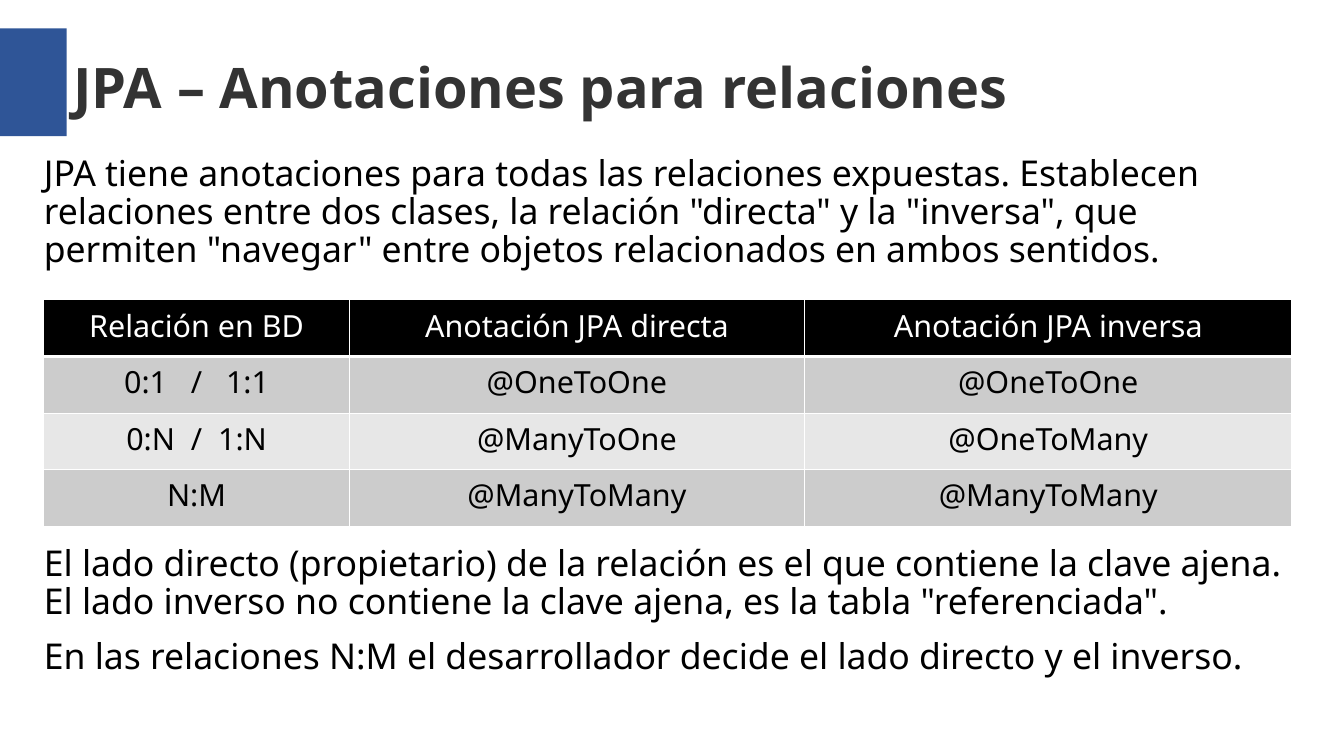
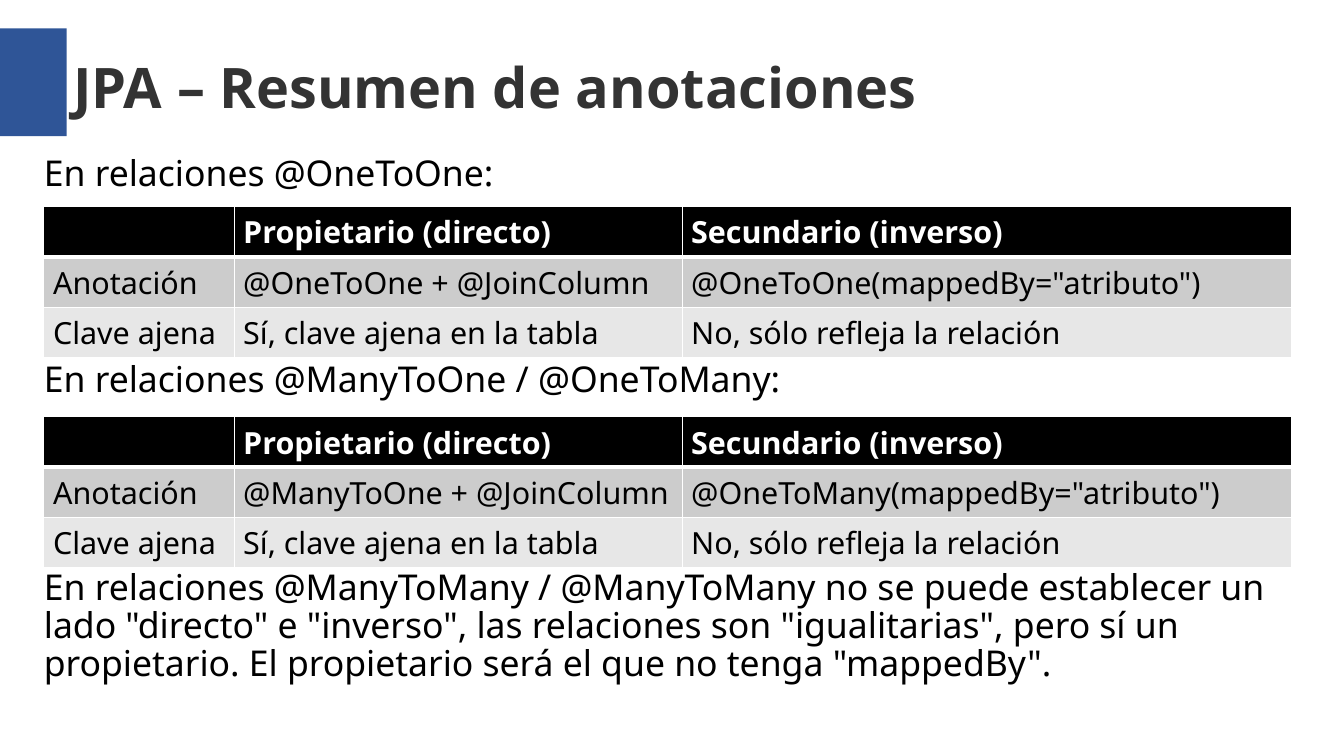
from lxml import etree
from pptx import Presentation
from pptx.dml.color import RGBColor
from pptx.enum.shapes import MSO_SHAPE
from pptx.enum.text import MSO_ANCHOR, PP_ALIGN
from pptx.oxml.ns import qn
from pptx.util import Pt

RECTANGLE = MSO_SHAPE.RECTANGLE
MIDDLE, TOP = MSO_ANCHOR.MIDDLE, MSO_ANCHOR.TOP
LEFT, CENTER = PP_ALIGN.LEFT, PP_ALIGN.CENTER

# Shared look; lengths in px, 100 px to the inch
PX = 9144
SLIDE_SIZE = (1470, 827)
FONT = "Noto Sans"
BLUE = RGBColor(0x2F, 0x55, 0x97)
TITLE_GREY = RGBColor(0x33, 0x33, 0x33)
BLACK = RGBColor(0x00, 0x00, 0x00)
WHITE = RGBColor(0xFF, 0xFF, 0xFF)
BANDS = (RGBColor(0xCC, 0xCC, 0xCC), RGBColor(0xE7, 0xE7, 0xE7))
ACCENT_BOX = (0, 31, 73, 118)
TITLE_BOX = (80, 17, 1334, 154)
BODY_LEFT, BODY_WIDTH = 48, 1365
LINE_HEIGHT = 47
TITLE_SIZE, BODY_SIZE, CELL_SIZE = 44, 28, 24


# Content
def summary_rows(direct, inverse):
    return [
        ("", "Propietario (directo)", "Secundario (inverso)"),
        ("Anotación", f"{direct} + @JoinColumn", f'{inverse}(mappedBy="atributo")'),
        ("Clave ajena", "Sí, clave ajena en la tabla", "No, sólo refleja la relación"),
    ]


RELATION_STYLE = {"columns": (334, 498, 533), "row": 62, "align": CENTER, "bold_header": False}
SUMMARY_STYLE = {"columns": (208, 490, 667), "row": 55, "align": LEFT, "bold_header": True}

SLIDES = [
    {
        "title": "JPA – Anotaciones para relaciones",
        # (top, line count, paragraphs)
        "texts": [
            (171, 3, [
                "JPA tiene anotaciones para todas las relaciones expuestas. Establecen "
                'relaciones entre dos clases, la relación "directa" y la "inversa", que '
                'permiten "navegar" entre objetos relacionados en ambos sentidos.',
            ]),
            (597, 4, [
                "El lado directo (propietario) de la relación es el que contiene la clave ajena. "
                'El lado inverso no contiene la clave ajena, es la tabla "referenciada".',
                "En las relaciones N:M el desarrollador decide el lado directo y el inverso.",
            ]),
        ],
        # (top, rows, style)
        "tables": [
            (328, [
                ("Relación en BD", "Anotación JPA directa", "Anotación JPA inversa"),
                ("0:1   /   1:1", "@OneToOne", "@OneToOne"),
                ("0:N  /  1:N", "@ManyToOne", "@OneToMany"),
                ("N:M", "@ManyToMany", "@ManyToMany"),
            ], RELATION_STYLE),
        ],
    },
    {
        "title": "JPA – Resumen de anotaciones",
        "texts": [
            (171, 1, ["En relaciones @OneToOne:"]),
            (396, 1, ["En relaciones @ManyToOne / @OneToMany:"]),
            (624, 3, [
                "En relaciones @ManyToMany / @ManyToMany no se puede establecer un lado "
                '"directo" e "inverso", las relaciones son "igualitarias", pero sí un '
                'propietario. El propietario será el que no tenga "mappedBy".',
            ]),
        ],
        "tables": [
            (226, summary_rows("@OneToOne", "@OneToOne"), SUMMARY_STYLE),
            (456, summary_rows("@ManyToOne", "@OneToMany"), SUMMARY_STYLE),
        ],
    },
]


def emu(lengths):
    return [length * PX for length in lengths]


def style_paragraph(paragraph, size, color, bold=False):
    font = paragraph.font
    font.name, font.size, font.bold = FONT, Pt(size), bold
    font.color.rgb = color


def add_text(slide, box, paragraphs, size, color, bold=False, anchor=TOP, spacing=1.0):
    frame = slide.shapes.add_textbox(*emu(box)).text_frame
    frame.word_wrap = True
    frame.vertical_anchor = anchor
    frame.margin_left = frame.margin_right = frame.margin_top = frame.margin_bottom = 0
    frame.text = "\n".join(paragraphs)
    for paragraph in frame.paragraphs:
        paragraph.line_spacing = spacing
        paragraph.space_after = Pt(14)
        style_paragraph(paragraph, size, color, bold)


def add_accent(slide):
    accent = slide.shapes.add_shape(RECTANGLE, *emu(ACCENT_BOX))
    accent.shadow.inherit = False
    accent.fill.solid()
    accent.fill.fore_color.rgb = BLUE
    accent.line.fill.background()


def set_borders(cell, top, bottom):
    properties = cell._tc.get_or_add_tcPr()
    for side, points in (("lnL", 1), ("lnR", 1), ("lnT", top), ("lnB", bottom)):
        line = etree.SubElement(properties, qn(f"a:{side}"), w=str(Pt(points)))
        fill = etree.SubElement(line, qn("a:solidFill"))
        etree.SubElement(fill, qn("a:srgbClr"), val=str(WHITE))


def add_grid(slide, top, rows, style):
    columns, row_height = style["columns"], style["row"]
    box = (BODY_LEFT, top, sum(columns), row_height * len(rows))
    table = slide.shapes.add_table(len(rows), len(columns), *emu(box)).table
    for column, width in zip(table.columns, emu(columns)):
        column.width = width
    for r, row in enumerate(rows):
        header = r == 0
        table.rows[r].height = row_height * PX
        for c, text in enumerate(row):
            cell = table.cell(r, c)
            # The rule under the header is thicker
            set_borders(cell, top=3 if r == 1 else 1, bottom=3 if header else 1)
            cell.fill.solid()
            cell.fill.fore_color.rgb = BLACK if header else BANDS[(r - 1) % 2]
            cell.text = text
            paragraph = cell.text_frame.paragraphs[0]
            paragraph.alignment = style["align"]
            style_paragraph(paragraph, CELL_SIZE, WHITE if header else BLACK,
                            header and style["bold_header"])


def main():
    deck = Presentation()
    deck.slide_width, deck.slide_height = emu(SLIDE_SIZE)
    blank = deck.slide_layouts[6]
    for content in SLIDES:
        slide = deck.slides.add_slide(blank)
        add_accent(slide)
        add_text(slide, TITLE_BOX, [content["title"]], TITLE_SIZE, TITLE_GREY,
                 bold=True, anchor=MIDDLE)
        for top, lines, paragraphs in content["texts"]:
            box = (BODY_LEFT, top, BODY_WIDTH, lines * LINE_HEIGHT)
            add_text(slide, box, paragraphs, BODY_SIZE, BLACK, spacing=0.89)
        for top, rows, style in content["tables"]:
            add_grid(slide, top, rows, style)
    deck.save("out.pptx")


if __name__ == "__main__":
    main()
